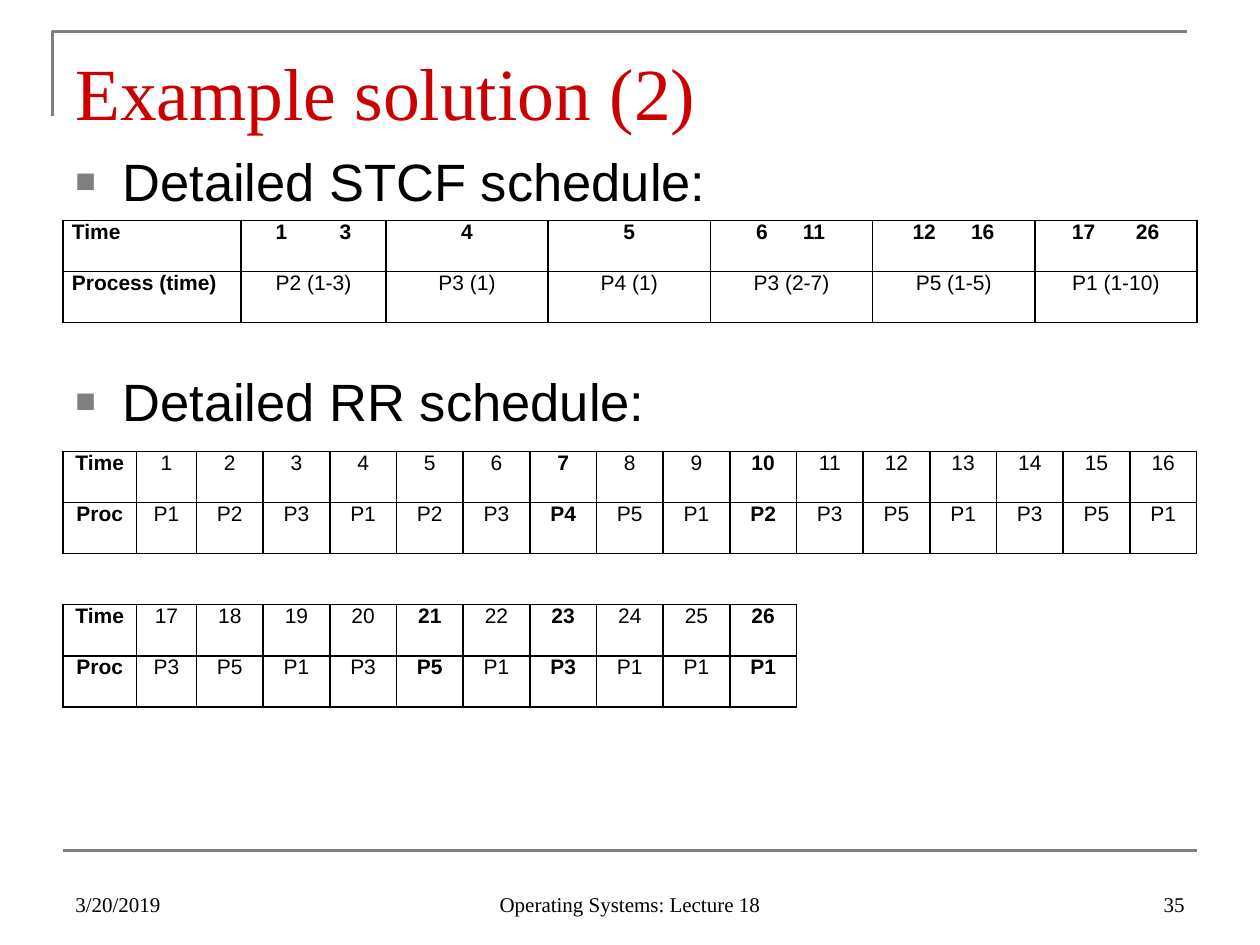
from dataclasses import dataclass

from lxml import etree
from pptx import Presentation
from pptx.dml.color import RGBColor
from pptx.enum.shapes import MSO_CONNECTOR
from pptx.enum.text import MSO_ANCHOR, PP_ALIGN
from pptx.oxml.ns import qn
from pptx.util import Cm, Pt

LEFT, CENTER, RIGHT = PP_ALIGN.LEFT, PP_ALIGN.CENTER, PP_ALIGN.RIGHT
TOP, BOTTOM = MSO_ANCHOR.TOP, MSO_ANCHOR.BOTTOM
STRAIGHT = MSO_CONNECTOR.STRAIGHT


@dataclass(frozen=True)
class Theme:
    title_color: str = "CC0000"
    text_color: str = "000000"
    rule_color: str = "808080"
    cell_color: str = "FFFFFF"
    title_font: str = "Times New Roman"
    body_font: str = "Arial"
    title_size: int = 42
    body_size: int = 30
    small_size: int = 12
    rule_width: float = 1.5
    border_width: float = 1


THEME = Theme()
MARGIN, CONTENT_WIDTH = 1.27, 22.86
ROW_HEIGHT = 1.03
CELL_INSET = 0.18
DIGIT_WIDTH = 0.24  # one digit at the table's type size


def add_element(parent, tag, **attributes):
    element = etree.SubElement(parent, qn(tag))
    for name, value in attributes.items():
        element.set(name, str(value))
    return element


def write_text(text_frame, text, *, font=THEME.body_font, size=THEME.small_size,
               color=THEME.text_color, bold=False, align=LEFT, bullet=False, tab=None):
    paragraph = text_frame.paragraphs[0]
    properties = paragraph._p.get_or_add_pPr()
    if bullet:
        properties.set("marL", str(Cm(0.95)))
        properties.set("indent", str(Cm(-0.95)))
        bullet_color = add_element(properties, "a:buClr")
        add_element(bullet_color, "a:srgbClr", val=THEME.rule_color)
        add_element(properties, "a:buSzPct", val=65000)
        add_element(properties, "a:buFont", typeface=THEME.body_font)
        add_element(properties, "a:buChar", char="■")
    if tab:
        tabs = add_element(properties, "a:tabLst")
        add_element(tabs, "a:tab", pos=Cm(tab), algn="l")
    paragraph.alignment = align
    run = paragraph.add_run()
    run.text = text
    run.font.name, run.font.size, run.font.bold = font, Pt(size), bold
    run.font.color.rgb = RGBColor.from_string(color)


class SlideBuilder:
    def __init__(self, slide, theme):
        self.slide = slide
        self.theme = theme

    def style_rule(self, shape):
        shape.line.color.rgb = RGBColor.from_string(self.theme.rule_color)
        shape.line.width = Pt(self.theme.rule_width)

    def corner(self, left, top, right, bottom):
        builder = self.slide.shapes.build_freeform(Cm(left), Cm(bottom))
        builder.add_line_segments([(Cm(left), Cm(top)), (Cm(right), Cm(top))], close=False)
        shape = builder.convert_to_shape()
        shape.shadow.inherit = False
        shape.fill.background()
        self.style_rule(shape)

    def rule(self, left, top, width):
        connector = self.slide.shapes.add_connector(
            STRAIGHT, Cm(left), Cm(top), Cm(left + width), Cm(top))
        self.style_rule(connector)
        add_element(connector._element.spPr, "a:effectLst")

    def text(self, text, left, top, width, height, *, anchor=TOP,
             inset_top=0.13, inset_bottom=0.13, **text_format):
        shape = self.slide.shapes.add_textbox(Cm(left), Cm(top), Cm(width), Cm(height))
        frame = shape.text_frame
        frame.word_wrap = True
        frame.vertical_anchor = anchor
        frame.margin_top, frame.margin_bottom = Cm(inset_top), Cm(inset_bottom)
        write_text(frame, text, **text_format)

    def bullet(self, text, top):
        self.text(text, MARGIN, top, CONTENT_WIDTH, 1.75, inset_top=0.25,
                  size=self.theme.body_size, bullet=True)

    def footer(self, text, left, width, align):
        self.text(text, left, 17.35, width, 1.27, anchor=BOTTOM,
                  font=self.theme.title_font, align=align)

    def border(self, cell, side, visible):
        line = add_element(cell._tc.get_or_add_tcPr(), f"a:ln{side}",
                           w=Pt(self.theme.border_width))
        if visible:
            fill = add_element(line, "a:solidFill")
            add_element(fill, "a:srgbClr", val=self.theme.text_color)
        else:
            add_element(line, "a:noFill")

    def table(self, top, widths, rows, cell_format):
        """Draw rows of text; cells without text get no borders of their own."""
        shape = self.slide.shapes.add_table(
            len(rows), len(widths), Cm(MARGIN), Cm(top),
            Cm(sum(widths)), Cm(ROW_HEIGHT * len(rows)))
        table = shape.table
        table.first_row = table.horz_banding = False
        for column, width in zip(table.columns, widths):
            column.width = Cm(width)
        for row in table.rows:
            row.height = Cm(ROW_HEIGHT)

        def has_text(row, column):
            return 0 <= row < len(rows) and 0 <= column < len(rows[row]) and bool(rows[row][column])

        for row in range(len(rows)):
            for column in range(len(widths)):
                cell = table.cell(row, column)
                cell.margin_left = cell.margin_right = Cm(CELL_INSET)
                cell.margin_top = cell.margin_bottom = 0
                neighbours = {"L": (row, column - 1), "R": (row, column + 1),
                              "T": (row - 1, column), "B": (row + 1, column)}
                for side, neighbour in neighbours.items():
                    self.border(cell, side, has_text(row, column) or has_text(*neighbour))
                cell.fill.solid()
                cell.fill.fore_color.rgb = RGBColor.from_string(self.theme.cell_color)
                if has_text(row, column):
                    write_text(cell.text_frame, rows[row][column],
                               **cell_format(cell, row, column))


def add_stcf_table(builder):
    widths = [3.59, 2.92] + [3.27] * 5
    rows = [["Time", "1\t3", "4", "5", "6\t11", "12\t16", "17\t26"],
            ["Process (time)", "P2 (1-3)", "P3 (1)", "P4 (1)",
             "P3 (2-7)", "P5 (1-5)", "P1 (1-10)"]]
    tab_stops = {1: 1.29, 4: 0.94, 5: 1.18, 6: 1.29}

    def cell_format(cell, row, column):
        if row == 0 and column in tab_stops:
            # Centre the start and end times as a pair around their tab stop
            tab = tab_stops[column]
            end_time = rows[row][column].split("\t")[1]
            pair_width = tab + DIGIT_WIDTH * len(end_time)
            cell.margin_left = Cm((widths[column] - pair_width) / 2)
            return {"bold": True, "tab": tab}
        return {"bold": row == 0 or column == 0, "align": CENTER if column else LEFT}

    builder.table(4.44, widths, rows, cell_format)


def add_round_robin_table(builder):
    first_widths = [1.48, 1.21]
    widths = first_widths + [(CONTENT_WIDTH - sum(first_widths)) / 15] * 15
    processes = ("P1 P2 P3 P1 P2 P3 P4 P5 P1 P2 P3 P5 P1 P3 P5 P1 "
                 "P3 P5 P1 P3 P5 P1 P3 P1 P1 P1").split()
    times = [str(number) for number in range(1, len(processes) + 1)]
    finish_times = {"7", "10", "21", "23", "26"}
    rows = [["Time"] + times[:16], ["Proc"] + processes[:16], [],
            ["Time"] + times[16:], ["Proc"] + processes[16:]]

    def cell_format(cell, row, column):
        time = rows[row // 3 * 3][column]
        return {"bold": column == 0 or time in finish_times, "align": CENTER}

    builder.table(9.1, widths, rows, cell_format)


def main():
    presentation = Presentation()
    presentation.slide_width, presentation.slide_height = Cm(25.4), Cm(19.05)
    slide = presentation.slides.add_slide(presentation.slide_layouts[6])
    builder = SlideBuilder(slide, THEME)

    # Frame lines and title
    builder.corner(1.06, 0.63, 23.92, 2.33)
    builder.rule(MARGIN, 17.15, CONTENT_WIDTH)
    builder.text("Example solution (2)", MARGIN, 0.76, CONTENT_WIDTH, 1.98,
                 anchor=BOTTOM, inset_bottom=0.02, font=THEME.title_font,
                 size=THEME.title_size, color=THEME.title_color)

    # Schedules
    add_stcf_table(builder)
    builder.bullet("Detailed STCF schedule:", 2.75)
    builder.bullet("Detailed RR schedule:", 7.19)
    add_round_robin_table(builder)

    # Footer
    builder.footer("3/20/2019", MARGIN, 5.93, LEFT)
    builder.footer("Operating Systems: Lecture 18", 8.68, 8.04, CENTER)
    builder.footer("35", 18.2, 5.93, RIGHT)

    presentation.save("out.pptx")


if __name__ == "__main__":
    main()
